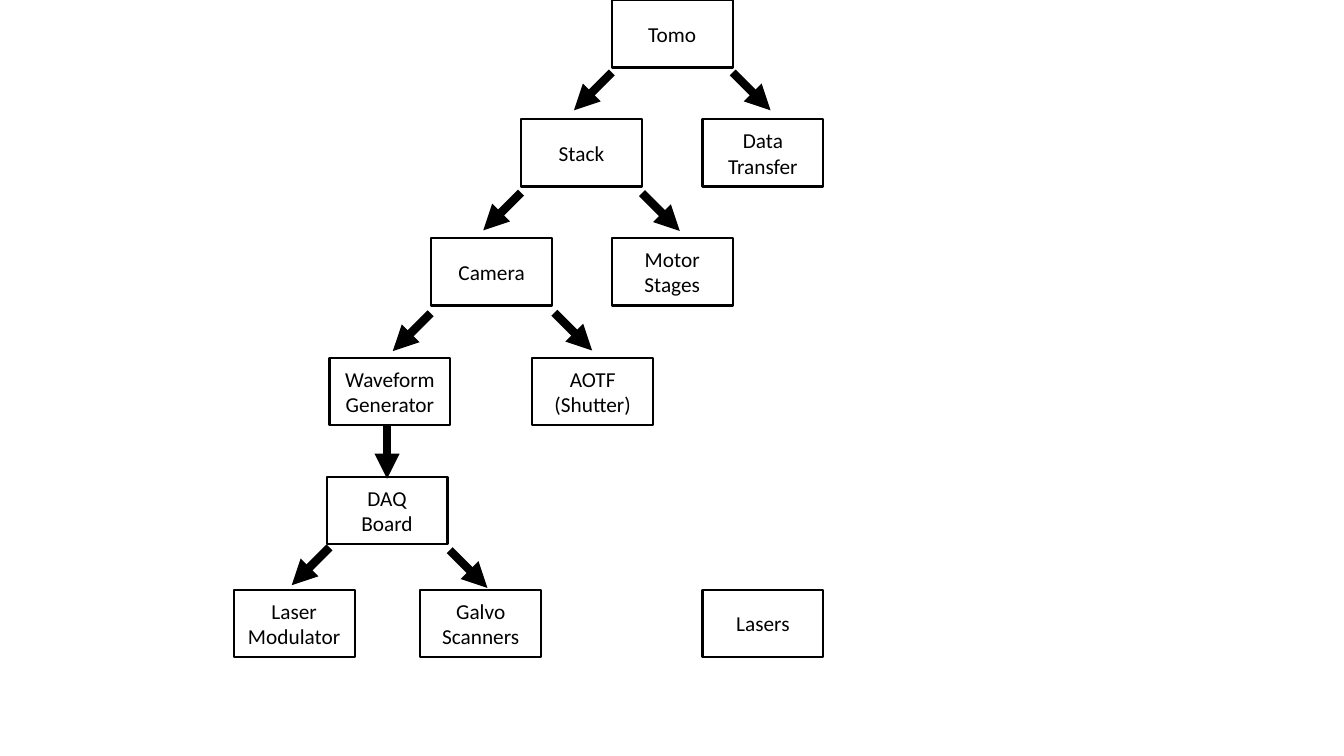
"""Build a slide showing the control hierarchy of a microscope."""
from lxml import etree
from pptx import Presentation
from pptx import util as u
from pptx.dml import color
from pptx.enum import shapes, text
from pptx.oxml import ns

COLORS = {"ink": "000000"}
FONT = "Calibri"
BOX_WIDTH, BOX_HEIGHT = 86.4, 48.24
ARROW_REACH = 27
ROW_TOPS = [0, 85, 170, 255.5, 340.6, 421.2]

BOXES = [
    (437, 0, ["Tomo"]),
    (372.2, 1, ["Stack"]),
    (501.8, 1, ["Data Transfer"]),
    (308, 2, ["Camera"]),
    (437, 2, ["Motor Stages"]),
    (235.4, 3, ["Waveform", "Generator"]),
    (380.2, 3, ["AOTF", "(Shutter)"]),
    (233.3, 4, ["DAQ", "Board"]),
    (167, 5, ["Laser", "Modulator"]),
    (300.2, 5, ["Galvo", "Scanners"]),
    (501.8, 5, ["Lasers"]),
]

BRANCH_STARTS = [
    ((437, 51.8), (523.4, 51.8)),
    ((372.2, 137.6), (458.6, 138)),
    ((307.6, 223.8), (396, 223.4)),
    ((235.4, 391), (321.2, 393)),
]


def ink():
    return color.RGBColor.from_string(COLORS["ink"])


def add_box(slide, left, top, lines):
    shape = slide.shapes.add_shape(
        shapes.MSO_SHAPE.RECTANGLE,
        u.Pt(left), u.Pt(top), u.Pt(BOX_WIDTH), u.Pt(BOX_HEIGHT))
    shape.shadow.inherit = False
    shape.fill.background()
    shape.line.color.rgb = ink()
    shape.line.width = u.Pt(1.5)
    frame = shape.text_frame
    frame.word_wrap = True
    frame.vertical_anchor = text.MSO_ANCHOR.MIDDLE
    frame.margin_left = frame.margin_right = u.Pt(8.64)
    frame.margin_top = frame.margin_bottom = u.Pt(8.64)
    for index, line in enumerate(lines):
        paragraph = frame.add_paragraph() if index else frame.paragraphs[0]
        paragraph.alignment = text.PP_ALIGN.CENTER
        run = paragraph.add_run()
        run.text = line
        run.font.name = FONT
        run.font.size = u.Pt(15.2)
        run.font.color.rgb = ink()


def add_arrow(slide, start, end):
    connector = slide.shapes.add_connector(
        shapes.MSO_CONNECTOR.STRAIGHT, *[u.Pt(value) for value in start + end])
    connector.line.color.rgb = ink()
    connector.line.width = u.Pt(6)
    etree.SubElement(connector.line._get_or_add_ln(), ns.qn("a:tailEnd"), type="triangle")
    etree.SubElement(connector._element.spPr, ns.qn("a:effectLst"))


def add_branch(slide, starts):
    for (x, y), direction in zip(starts, (-1, 1)):
        add_arrow(slide, (x, y), (x + direction * ARROW_REACH, y + ARROW_REACH))


def main():
    presentation = Presentation()
    presentation.slide_width = u.Pt(960)
    presentation.slide_height = u.Pt(540)
    slide = presentation.slides.add_slide(presentation.slide_layouts[6])
    for left, row, lines in BOXES:
        add_box(slide, left, ROW_TOPS[row], lines)
    add_arrow(slide, (276.5, 303.8), (276.5, 342))
    for starts in BRANCH_STARTS:
        add_branch(slide, starts)
    presentation.save("out.pptx")


if __name__ == "__main__":
    main()
